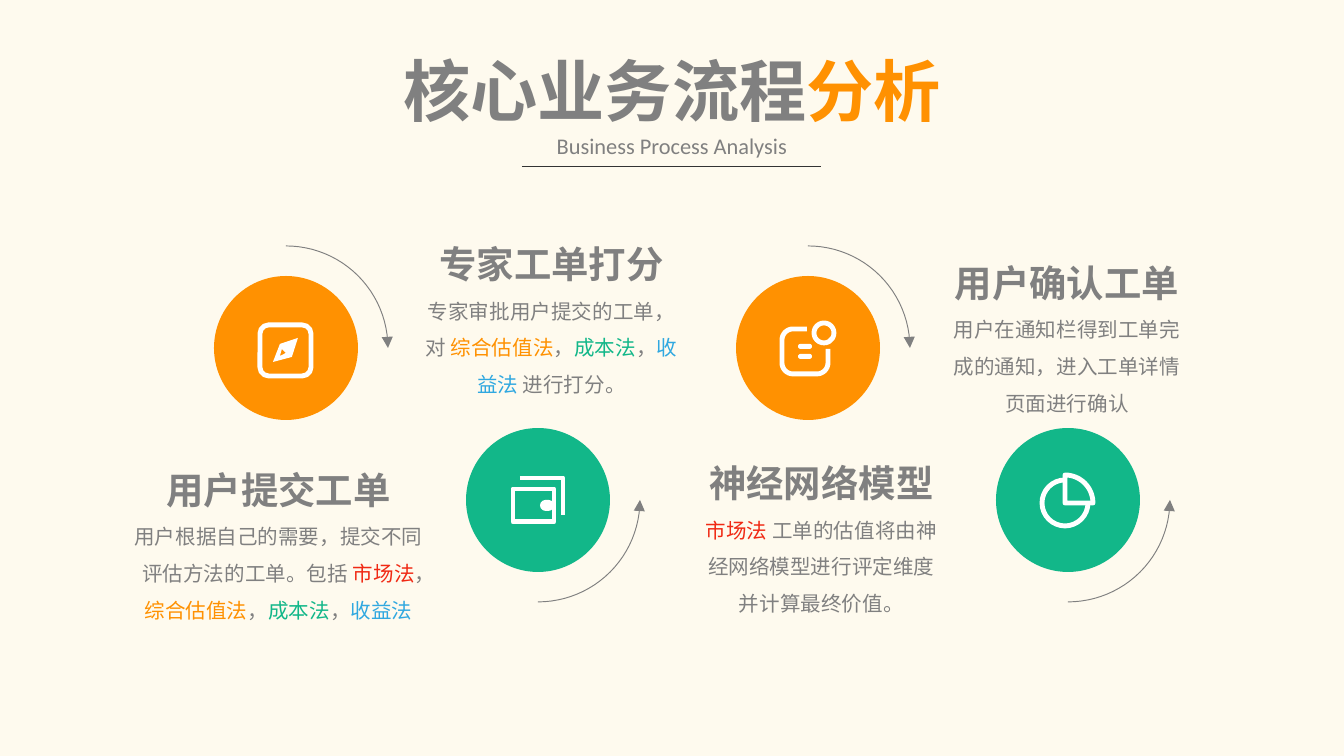
from math import cos, radians, sin

from lxml import etree
from pptx import Presentation
from pptx.dml.color import RGBColor
from pptx.enum.shapes import MSO_CONNECTOR, MSO_SHAPE
from pptx.enum.text import MSO_ANCHOR, MSO_AUTO_SIZE, PP_ALIGN
from pptx.oxml.ns import qn
from pptx.util import Emu, Pt

OVAL = MSO_SHAPE.OVAL
RECT = MSO_SHAPE.RECTANGLE
ROUND = MSO_SHAPE.ROUNDED_RECTANGLE
STRAIGHT = MSO_CONNECTOR.STRAIGHT
CENTER = PP_ALIGN.CENTER
TOP = MSO_ANCHOR.TOP
GROW = MSO_AUTO_SIZE.SHAPE_TO_FIT_TEXT

SCALE = 9144000 / 1344
CJK = "Noto Sans CJK SC"
LATIN = "Calibri"
STROKE = 2.6
COLORS = {
    "cream": "FEFAEE", "gray": "808080", "dark": "333333", "white": "FFFFFF",
    "orange": "FF9101", "green": "12B789", "red": "F02914", "blue": "30A8E0",
}


def px(n):
    return Emu(round(n * SCALE))


def rgb(name):
    return RGBColor.from_string(COLORS[name])


def arc(cx, cy, r, start, end, steps=24):
    angles = [radians(start + (end - start) * i / steps) for i in range(steps + 1)]
    return [(cx + r * cos(a), cy + r * sin(a)) for a in angles]


class Deck:
    def __init__(self):
        self.prs = Presentation()
        self.prs.slide_width, self.prs.slide_height = px(1344), px(756)

    def new_slide(self):
        self.slide = self.prs.slides.add_slide(self.prs.slide_layouts[5])
        self.shapes = self.slide.shapes
        self.slide.background.fill.solid()
        self.slide.background.fill.fore_color.rgb = rgb("cream")

    def paint(self, sp, fill=None, line=None, width=STROKE):
        sp.shadow.inherit = False
        if fill:
            sp.fill.solid()
            sp.fill.fore_color.rgb = rgb(fill)
        else:
            sp.fill.background()
        if line:
            sp.line.color.rgb = rgb(line)
            sp.line.width = Pt(width)
        else:
            sp.line.fill.background()
        return sp

    def shape(self, kind, x, y, w, h, radius=None, **style):
        sp = self.shapes.add_shape(kind, px(x), px(y), px(w), px(h))
        if radius is not None:
            sp.adjustments[0] = radius
        return self.paint(sp, **style)

    def outline(self, *contours, close=False, **style):
        outlines = [[(px(x), px(y)) for x, y in c] for c in contours]
        fb = self.shapes.build_freeform(*outlines[0][0])
        for i, pts in enumerate(outlines):
            if i:
                fb.move_to(*pts[0])
            fb.add_line_segments(pts[1:], close=close)
        return self.paint(fb.convert_to_shape(), **style)

    def arc_arrow(self, cx, cy, r, start):
        sp = self.outline(arc(cx, cy, r, start, 0), line="gray", width=0.5)
        ln = sp._element.spPr.find(qn("a:ln"))
        etree.SubElement(ln, qn("a:tailEnd"), type="triangle")

    def rule(self, x1, x2, y):
        c = self.shapes.add_connector(STRAIGHT, px(x1), px(y), px(x2), px(y))
        c.line.color.rgb = rgb("dark")
        c.line.width = Pt(0.5)
        etree.SubElement(c._element.spPr, qn("a:effectLst"))

    def fill_paragraph(self, p, runs, size, bold=False, font=CJK, spacing=None):
        p.alignment = CENTER
        if spacing:
            p.line_spacing = spacing
        p.font.size, p.font.bold, p.font.name = Pt(size), bold, font
        etree.SubElement(p.font._element, qn("a:ea"), typeface=font)
        for text, color in runs:
            r = p.add_run()
            r.text = text
            r.font.color.rgb = rgb(color)

    def title(self, box, runs):
        sp = self.shapes.title
        sp.left, sp.top, sp.width, sp.height = [px(n) for n in box]
        tf = sp.text_frame
        tf.word_wrap, tf.auto_size, tf.vertical_anchor = False, GROW, TOP
        self.fill_paragraph(tf.paragraphs[0], runs, 36, True)

    def text(self, box, wrap=True, inset=True):
        tf = self.shapes.add_textbox(*[px(n) for n in box]).text_frame
        tf.word_wrap, tf.auto_size = wrap, GROW
        if not inset:
            tf.margin_left = tf.margin_top = tf.margin_right = tf.margin_bottom = 0
        return tf

    def subtitle(self, box, text):
        tf = self.text(box, wrap=False)
        self.fill_paragraph(tf.paragraphs[0], [(text, "gray")], 12, font=LATIN)

    def card(self, box, heading, runs):
        tf = self.text(box, inset=False)
        self.fill_paragraph(tf.paragraphs[0], [(heading, "gray")], 20, True, spacing=1.5)
        self.fill_paragraph(tf.add_paragraph(), runs, 11, spacing=1.5)

    def compass_icon(self):
        self.shape(ROUND, 260, 325, 51, 51, radius=0.17, line="white")
        self.outline([(298, 338), (280, 344), (273, 362), (292, 357)],
                     [(280, 356), (282, 349), (286, 353)], close=True, fill="white")

    def wallet_icon(self):
        self.shape(RECT, 513, 489, 41, 33, line="white")
        self.shape(ROUND, 540, 500, 14, 11, radius=0.5, fill="white")
        self.outline([(520, 478), (563, 478), (563, 515)], line="white")

    def notice_icon(self):
        frame = [(807, 329), *arc(793, 340, 11, 270, 180, 8),
                 *arc(793, 363, 11, 180, 90, 8), *arc(817, 363, 11, 90, 0, 8), (828, 349)]
        self.outline(frame, line="white")
        self.shape(OVAL, 814, 323, 20, 20, line="white")
        for y in (344, 354):
            self.shape(ROUND, 798, y, 14, 5, radius=0.5, fill="white")

    def pie_icon(self):
        self.outline(arc(1065, 503, 23, 0, 270), line="white")
        self.outline([(1065, 503), *arc(1065, 503, 28, 270, 360)], close=True, line="white")


def main():
    deck = Deck()
    deck.new_slide()
    deck.title((387, 43, 570, 95), [("核心业务流程", "gray"), ("分析", "orange")])
    deck.subtitle((542, 126, 260, 41), "Business Process Analysis")
    deck.rule(522, 821, 166)

    steps = [
        (286, 348, "orange", -90, deck.compass_icon),
        (808, 348, "orange", -90, deck.notice_icon),
        (538, 500, "green", 90, deck.wallet_icon),
        (1068, 500, "green", 90, deck.pie_icon),
    ]
    for cx, cy, color, start, icon in steps:
        deck.shape(OVAL, cx - 72, cy - 72, 144, 144, fill=color)
        deck.arc_arrow(cx, cy, 102, start)
        icon()

    comma = ("，", "gray")
    market = "市场法"
    blend, cost = ("综合估值法", "orange"), ("成本法", "green")
    deck.card((132, 445, 293, 176), "用户提交工单", [
        ("用户根据自己的需要，提交不同评估方法的工单。包括 ", "gray"), (market, "red"),
        comma, blend, comma, cost, comma, ("收益法", "blue")])
    deck.card((423, 219, 257, 176), "专家工单打分", [
        ("专家审批用户提交的工单，对 ", "gray"), blend, comma, cost, comma,
        ("收益法 ", "blue"), ("进行打分。", "gray")])
    deck.card((699, 438, 245, 198), "神经网络模型", [
        (market + " ", "red"),
        ("工单的估值将由神经网络模型进行评定维度并计算最终价值。", "gray")])
    deck.card((950, 238, 234, 176), "用户确认工单", [
        ("用户在通知栏得到工单完成的通知，进入工单详情页面进行确认", "gray")])

    deck.prs.save("out.pptx")


if __name__ == "__main__":
    main()
